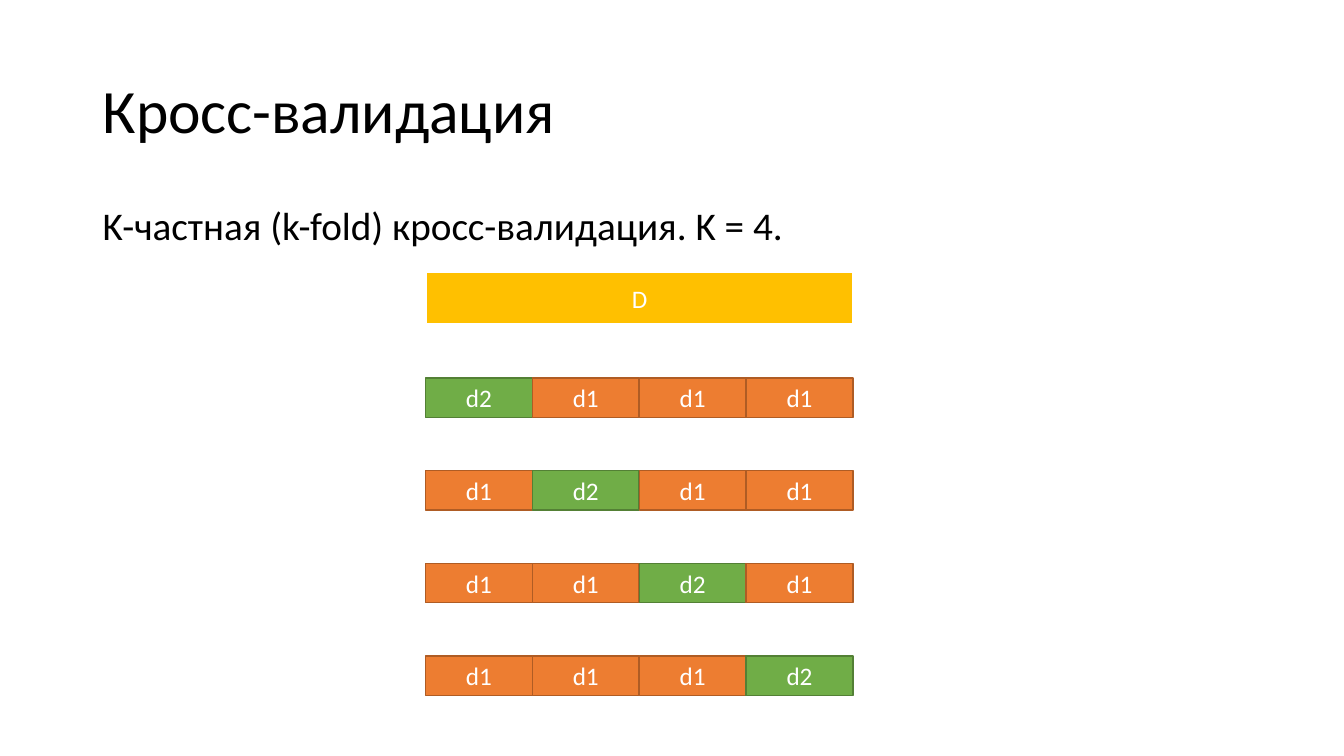
from pptx import Presentation
from pptx.dml.color import RGBColor
from pptx.enum.shapes import MSO_SHAPE
from pptx.enum.text import MSO_ANCHOR, PP_ALIGN
from pptx.util import Inches, Pt

BLACK = RGBColor(0x00, 0x00, 0x00)
WHITE = RGBColor(0xFF, 0xFF, 0xFF)
GOLD = RGBColor(0xFF, 0xC0, 0x00)
ORANGE = RGBColor(0xED, 0x7D, 0x31)
DARK_ORANGE = RGBColor(0xAF, 0x5C, 0x24)
GREEN = RGBColor(0x70, 0xAD, 0x47)
DARK_GREEN = RGBColor(0x53, 0x80, 0x35)

FOLDS = 4
FOLD_LEFT, FOLD_WIDTH, FOLD_HEIGHT = 4.22, 1.06, 0.39
FIRST_ROW_TOP, ROW_STEP = 3.75, 0.92


class SlideBuilder:
    """Holds the font and the slide being built."""

    def __init__(self, slide, font="Calibri"):
        """Keep the slide and the font for every element."""
        self.slide = slide
        self.font = font

    def set_label(self, shape, label, size, color, anchor):
        """Put one styled paragraph in a shape and return it."""
        frame = shape.text_frame
        frame.word_wrap = True
        frame.vertical_anchor = anchor
        paragraph = frame.paragraphs[0]
        run = paragraph.add_run()
        run.text = label
        run.font.name = self.font
        run.font.size = Pt(size)
        run.font.color.rgb = color
        return paragraph

    def text(self, box, label, size, anchor=MSO_ANCHOR.TOP, space_before=0):
        """Add a left-aligned line of black text."""
        shape = self.slide.shapes.add_textbox(*map(Inches, box))
        paragraph = self.set_label(shape, label, size, BLACK, anchor)
        paragraph.line_spacing = 0.9
        paragraph.space_before = Pt(space_before)

    def block(self, box, label, fill, line, line_width=1):
        """Add a filled rectangle with a centred white label."""
        shape = self.slide.shapes.add_shape(MSO_SHAPE.RECTANGLE, *map(Inches, box))
        shape.shadow.inherit = False
        shape.fill.solid()
        shape.fill.fore_color.rgb = fill
        shape.line.color.rgb = line
        shape.line.width = Pt(line_width)
        paragraph = self.set_label(shape, label, 18, WHITE, MSO_ANCHOR.MIDDLE)
        paragraph.alignment = PP_ALIGN.CENTER


def add_folds(builder):
    """Draw one row per round; the test part d2 moves along the diagonal."""
    for row in range(FOLDS):
        for column in range(FOLDS):
            box = (FOLD_LEFT + column * FOLD_WIDTH, FIRST_ROW_TOP + row * ROW_STEP,
                   FOLD_WIDTH, FOLD_HEIGHT)
            if row == column:
                builder.block(box, "d2", GREEN, DARK_GREEN)
            else:
                builder.block(box, "d1", ORANGE, DARK_ORANGE)


def main():
    """Build and save the slide."""
    presentation = Presentation()
    presentation.slide_width = Inches(13.33)
    presentation.slide_height = Inches(7.5)
    builder = SlideBuilder(presentation.slides.add_slide(presentation.slide_layouts[6]))
    builder.text((0.92, 0.4, 11.5, 1.45), "Кросс-валидация", 44, MSO_ANCHOR.MIDDLE)
    builder.text((0.92, 2, 11.5, 0.6), "K-частная (k-fold) кросс-валидация. K = 4.", 28,
                 space_before=10)
    builder.block((4.23, 2.7, 4.23, 0.52), "D", GOLD, WHITE, 1.5)
    add_folds(builder)
    presentation.save("out.pptx")


main()
